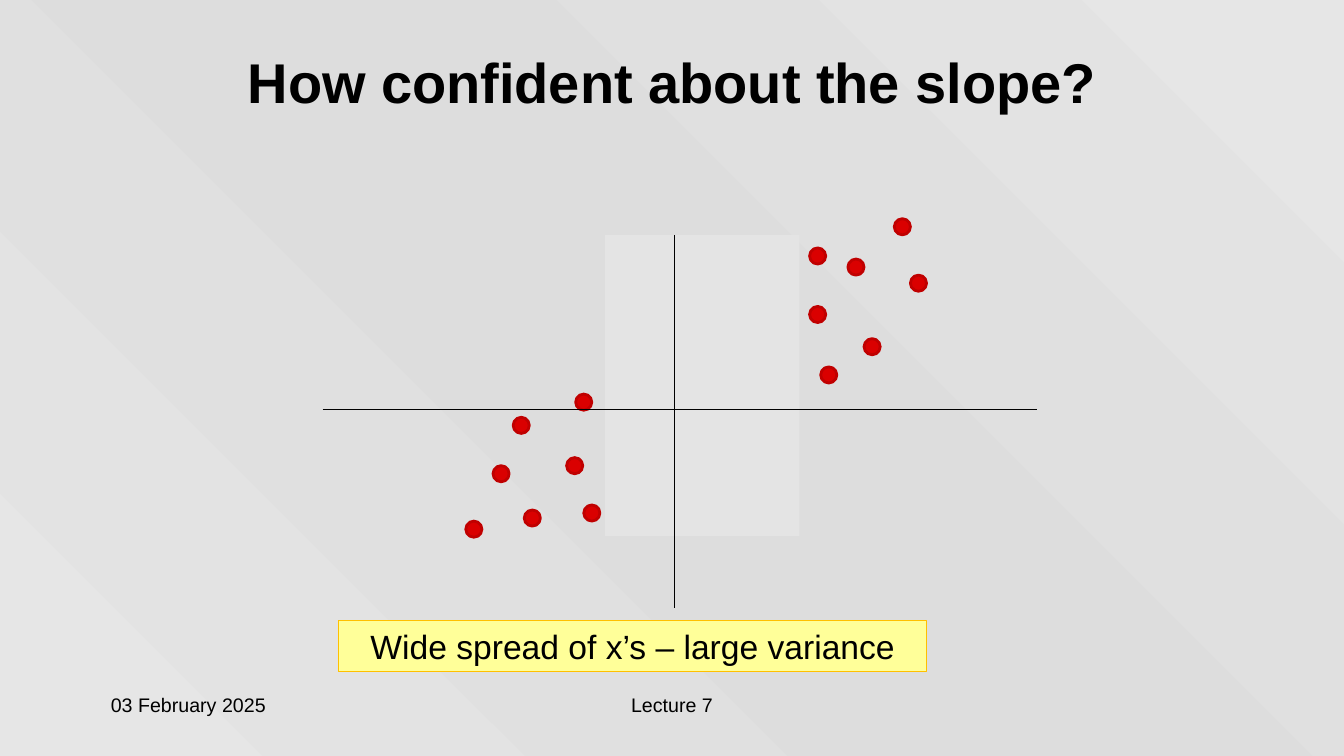
from copy import deepcopy
from dataclasses import dataclass

from lxml import etree
from pptx import Presentation
from pptx.dml.color import RGBColor
from pptx.enum import shapes, text
from pptx.oxml import ns
from pptx.util import Inches, Pt


@dataclass(frozen=True)
class Theme:
    font: str = "Arial"
    ink: str = "000000"
    edge: str = "E6E6E6"
    mid: str = "DDDDDD"
    band: str = "E4E4E4"
    dot: str = "DA0000"
    rim: str = "C00000"
    note: str = "FFFF99"
    trim: str = "FFC000"
    title: int = 40
    body: int = 24
    foot: int = 14


THEME = Theme()
DOT = 0.16
# Dot corners, measured from the top left of the plot
DOTS = [
    (4.83, 0.87), (4.94, 1.47), (5.21, 0.40), (5.37, 1.19), (5.83, 0.56),
    (2.51, 1.74), (2.42, 2.37), (1.69, 2.45), (2.00, 2.89), (1.89, 1.97),
    (5.67, 0.00), (1.42, 3.00), (4.83, 0.29), (2.59, 2.84),
]


def color(code):
    return RGBColor.from_string(code)


def paint(slide):
    """Give the slide its diagonal three-stop background."""
    fill = slide.background.fill
    fill.gradient()
    fill.gradient_angle = 45
    stops = slide.element.find(".//" + ns.qn("a:gsLst"))
    stops.append(deepcopy(stops[0]))
    tones = (THEME.edge, THEME.mid, THEME.edge)
    for stop, place, tone in zip(fill.gradient_stops, (0, 0.5, 1), tones):
        stop.position = place
        stop.color.rgb = color(tone)


def write(shape, words, size, align, anchor, bold=False):
    frame = shape.text_frame
    frame.word_wrap = True
    frame.vertical_anchor = anchor
    para = frame.paragraphs[0]
    para.alignment = align
    run = para.add_run()
    run.text = words
    run.font.name = THEME.font
    run.font.size = Pt(size)
    run.font.bold = bold
    run.font.color.rgb = color(THEME.ink)


def label(slide, box, words, size, align, anchor=text.MSO_ANCHOR.TOP, bold=False):
    shape = slide.shapes.add_textbox(*map(Inches, box))
    write(shape, words, size, align, anchor, bold)


def block(slide, kind, box, fill, line=None, width=0):
    shape = slide.shapes.add_shape(kind, *map(Inches, box))
    shape.shadow.inherit = False
    shape.fill.solid()
    shape.fill.fore_color.rgb = color(fill)
    if line:
        shape.line.color.rgb = color(line)
        shape.line.width = Pt(width)
    else:
        shape.line.fill.background()
    return shape


def axis(slide, *ends):
    line = slide.shapes.add_connector(
        shapes.MSO_CONNECTOR.STRAIGHT, *map(Inches, ends))
    line.line.color.rgb = color(THEME.ink)
    line.line.width = Pt(0.25)
    etree.SubElement(line.element.spPr, ns.qn("a:effectLst"))


def plot(slide, box):
    """Draw the dots, the empty middle band and the two axes."""
    left, top, width, height = box
    for x, y in DOTS:
        block(slide, shapes.MSO_SHAPE.OVAL, (left + x, top + y, DOT, DOT),
              THEME.dot, THEME.rim, 2)
    start = top + 0.16
    block(slide, shapes.MSO_SHAPE.RECTANGLE,
          (left + 2.8, start, 1.93, 2.99), THEME.band)
    across, down = left + 3.49, top + 1.89
    axis(slide, across, start, across, top + height)
    axis(slide, left, down, left + width, down)


def note(slide, box):
    shape = block(slide, shapes.MSO_SHAPE.RECTANGLE, box,
                  THEME.note, THEME.trim, 0.75)
    write(shape, "Wide spread of x’s – large variance", THEME.body,
          text.PP_ALIGN.CENTER, text.MSO_ANCHOR.TOP)


def footer(slide, box):
    left, top, width, height = box
    label(slide, (left, top, 2.78, height), "03 February 2025",
          THEME.foot, text.PP_ALIGN.LEFT)
    span = 4.22
    label(slide, (left + (width - span) / 2, top, span, height), "Lecture 7",
          THEME.foot, text.PP_ALIGN.CENTER)


def main():
    deck = Presentation()
    deck.slide_width, deck.slide_height = Inches(13.33), Inches(7.5)
    slide = deck.slides.add_slide(deck.slide_layouts[6])
    paint(slide)
    label(slide, (0.26, 0.3, 12.81, 1.01), "How confident about the slope?",
          THEME.title, text.PP_ALIGN.CENTER, text.MSO_ANCHOR.MIDDLE, True)
    footer(slide, (1, 6.83, 11.33, 0.5))
    plot(slide, (3.2, 2.17, 7.09, 3.86))
    note(slide, (3.36, 6.16, 5.83, 0.5))
    deck.save("out.pptx")


if __name__ == "__main__":
    main()
